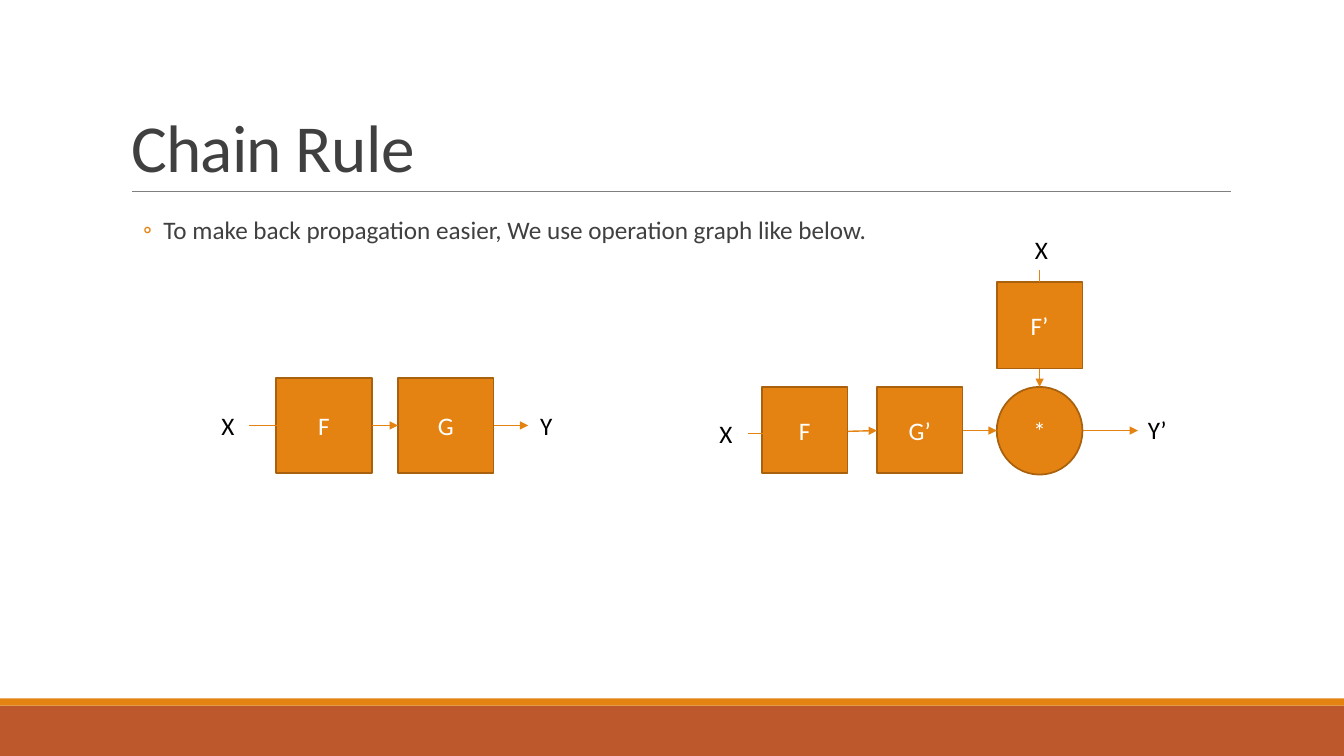
from lxml.etree import SubElement
from pptx import Presentation
from pptx.dml.color import RGBColor
from pptx.enum.shapes import MSO_CONNECTOR as Connector, MSO_SHAPE as Shape
from pptx.enum.text import MSO_ANCHOR as Anchor, PP_ALIGN as Align
from pptx.oxml.ns import qn
from pptx.util import Cm, Pt

COLORS = {
    "orange": "E48312", "edge": "A9610D", "rust": "BD582C", "rule": "808080",
    "ink": "404040", "black": "000000", "white": "FFFFFF",
}


def color(name):
    return RGBColor.from_string(COLORS[name])


def write(frame, text, size=18, ink="black", align=Align.LEFT, anchor=Anchor.TOP,
          line_spacing=None, tracking=None, bullet=None):
    frame.word_wrap = True
    frame.vertical_anchor = anchor
    para = frame.paragraphs[0]
    para.alignment = align
    if line_spacing:
        para.line_spacing = line_spacing
    if bullet:
        props = para._p.get_or_add_pPr()
        props.set("marL", str(Cm(1.07)))
        props.set("indent", str(Cm(-0.51)))
        tint = SubElement(props, qn("a:buClr"))
        SubElement(tint, qn("a:srgbClr")).set("val", COLORS["orange"])
        SubElement(props, qn("a:buFont")).set("typeface", "Calibri")
        SubElement(props, qn("a:buChar")).set("char", bullet)
    span = para.add_run()
    span.text = text
    span.font.name = "Calibri"
    span.font.size = Pt(size)
    span.font.color.rgb = color(ink)
    if tracking:
        span._r.get_or_add_rPr().set("spc", str(tracking))


class Page:
    def __init__(self, deck):
        self.slide = deck.slides.add_slide(deck.slide_layouts[5])
        self.shapes = self.slide.shapes

    def title(self, text, left, top, width, height):
        box = self.shapes.title
        box.left, box.top, box.width, box.height = map(Cm, (left, top, width, height))
        write(box.text_frame, text, size=48, ink="ink", anchor=Anchor.BOTTOM,
              line_spacing=0.85, tracking=-50)

    def shape(self, left, top, width, height, fill, kind=Shape.RECTANGLE, edge=None):
        shape = self.shapes.add_shape(kind, Cm(left), Cm(top), Cm(width), Cm(height))
        shape.shadow.inherit = False
        shape.fill.solid()
        shape.fill.fore_color.rgb = color(fill)
        if edge:
            shape.line.color.rgb = color(edge)
            shape.line.width = Pt(1.25)
        else:
            shape.line.fill.background()
        return shape

    def node(self, text, left, top, width, height, kind=Shape.RECTANGLE):
        shape = self.shape(left, top, width, height, "orange", kind, "edge")
        write(shape.text_frame, text, ink="white", align=Align.CENTER,
              anchor=Anchor.MIDDLE)

    def text(self, text, left, top, width=1.9, height=1.02, side=0.25, **style):
        box = self.shapes.add_textbox(Cm(left), Cm(top), Cm(width), Cm(height))
        box.text_frame.margin_left = box.text_frame.margin_right = Cm(side)
        write(box.text_frame, text, **style)

    def line(self, x1, y1, x2, y2, ink="orange", width=1, arrow=False):
        line = self.shapes.add_connector(
            Connector.STRAIGHT, Cm(x1), Cm(y1), Cm(x2), Cm(y2))
        line.line.color.rgb = color(ink)
        line.line.width = Pt(width)
        if arrow:
            SubElement(line.line._get_or_add_ln(), qn("a:tailEnd")).set("type", "triangle")
        SubElement(line._element.spPr, qn("a:effectLst"))


def draw_forward_graph(page):
    size, top, middle = 2.41, 9.52, 10.72
    for text, left in (("F", 6.96), ("G", 10.03)):
        page.node(text, left, top, size, size)
    for text, left in (("X", 5.33), ("Y", 13.36)):
        page.text(text, left, 10.21)
    page.line(6.27, middle, 7.49, middle)
    for start, end in ((9.37, 10.03), (12.45, 13.31)):
        page.line(start, middle, end, middle, arrow=True)


def draw_backward_graph(page):
    width, height, top, middle = 2.16, 2.18, 9.75, 10.85
    product_left, center = 25.12, 26.2
    page.node("F", 19.2, top, width, height)
    page.node("G’", 22.1, top, width, height)
    page.node("*", product_left, top, width, 2.21, Shape.OVAL)
    page.node("F’", product_left, 7.11, width, height)
    for text, left, label_top in (("X", 17.88, 10.41), ("X", 25.83, 5.77),
                                  ("Y’", 28.68, 10.31)):
        page.text(text, left, label_top)
    page.line(center, 6.81, center, 7.11)
    page.line(19.79, 10.92, 18.85, 10.92)
    page.line(21.36, 10.87, 22.1, middle, arrow=True)
    page.line(24.26, middle, product_left, middle, arrow=True)
    page.line(center, 9.3, center, top, arrow=True)
    page.line(27.28, middle, 28.68, middle, arrow=True)


def main():
    deck = Presentation()
    deck.slide_width, deck.slide_height = Cm(33.87), Cm(19.05)
    page = Page(deck)
    page.shape(0, 17.78, 33.87, 1.27, "rust")
    page.shape(0, 17.6, 33.87, 0.18, "orange")
    page.line(3.33, 4.83, 31.01, 4.83, ink="rule", width=0.5)
    page.title("Chain Rule", 3.05, 0.79, 27.94, 4.04)
    draw_forward_graph(page)
    draw_backward_graph(page)
    page.text("To make back propagation easier, We use operation graph like below.",
              3.05, 5.36, 20.57, 1.7, side=0, ink="ink", line_spacing=0.9, bullet="◦")
    deck.save("out.pptx")


if __name__ == "__main__":
    main()
